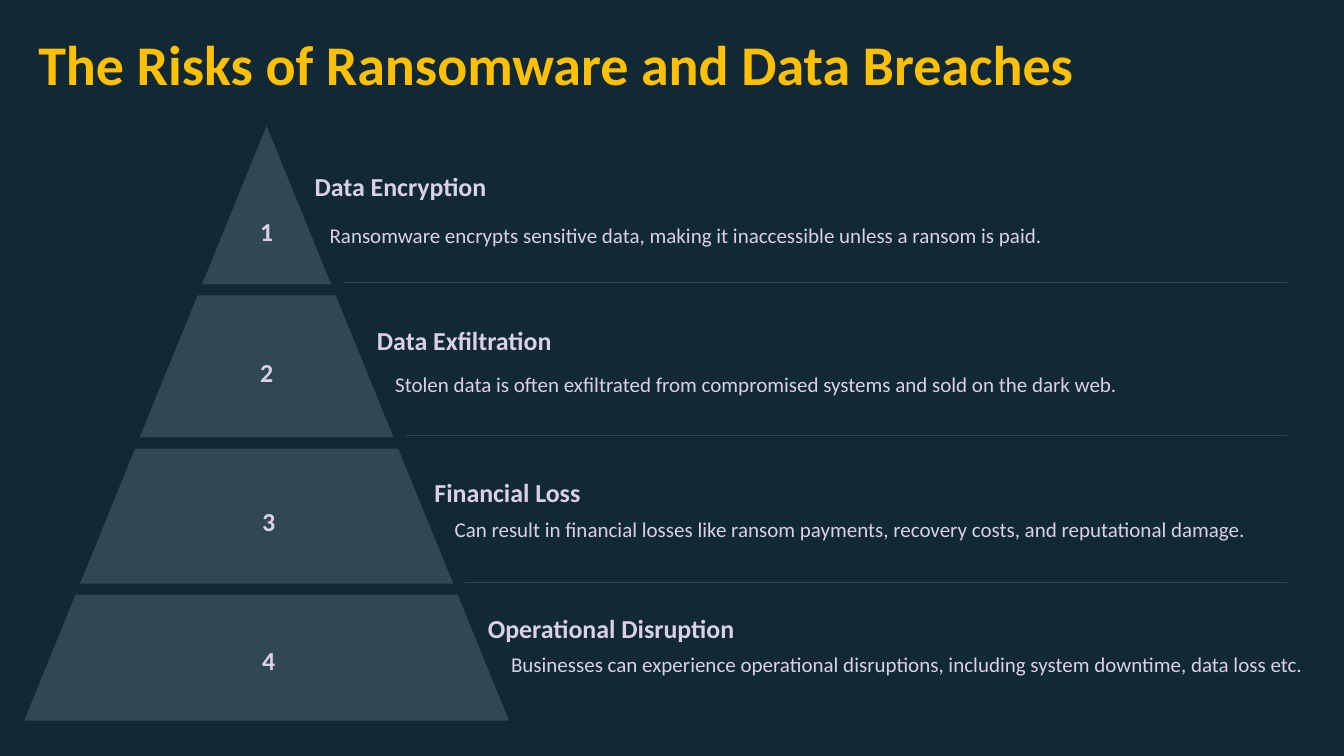
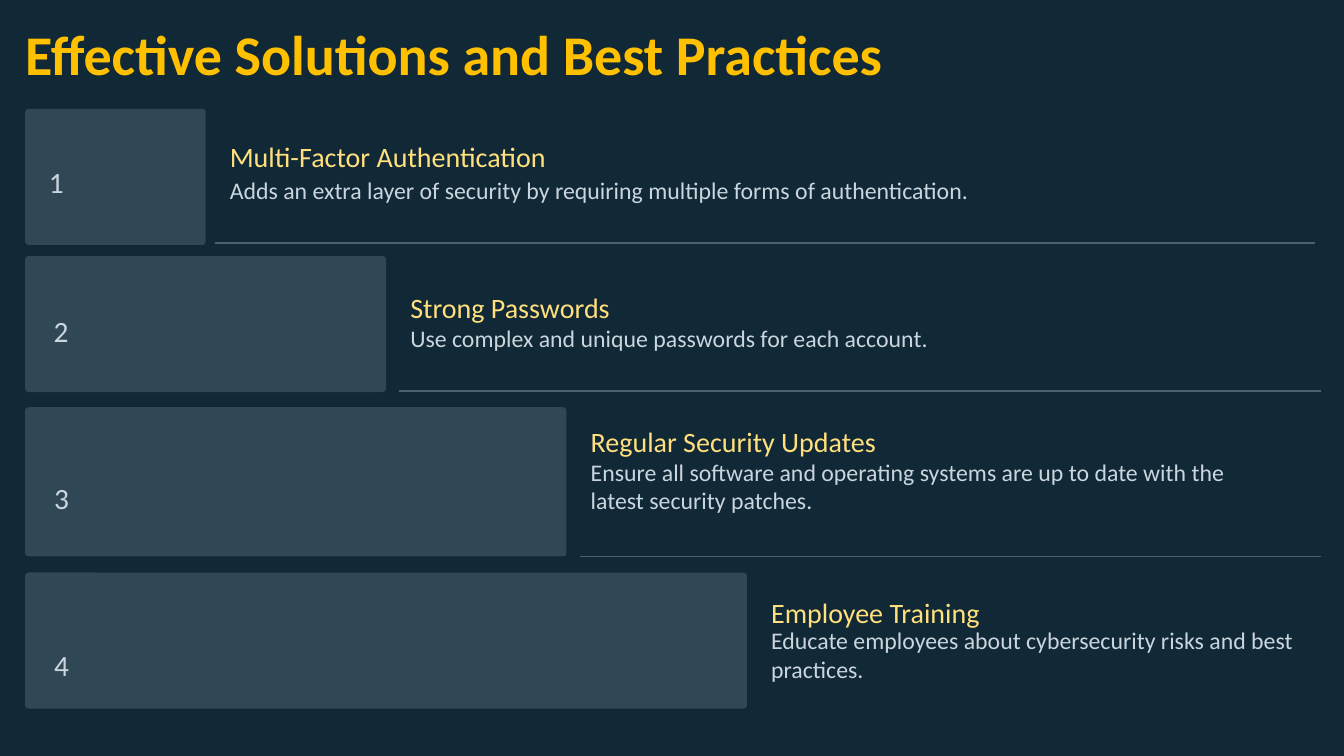
import dataclasses

import lxml.etree
import pptx
import pptx.dml.color
import pptx.enum.shapes
import pptx.enum.text
import pptx.oxml.ns
import pptx.util

# Grid: square cells of a tenth of an inch
CELL = 0.1
COLUMNS, ROWS = 133.33, 75

# Shared look
FONT = "Calibri"
NAVY = "112836"
SLATE = "304755"
STEEL = "49606E"
AMBER = "FFC000"
PALE_AMBER = "FFE07D"
LILAC = "DAD1E6"
MIST = "CAD6DE"
NUMBER_WIDTH = 4

SHAPES = pptx.enum.shapes.MSO_SHAPE
ALIGN = pptx.enum.text.PP_ALIGN


@dataclasses.dataclass
class Box:
    """An area in grid columns and rows."""
    left: float
    top: float
    width: float
    height: float

    @property
    def right(self):
        return self.left + self.width

    @property
    def bottom(self):
        return self.top + self.height

    def lengths(self):
        return [cells(v) for v in (self.left, self.top, self.width, self.height)]


@dataclasses.dataclass
class TextStyle:
    size: float
    color: str
    bold: bool = False
    spacing: float = 0
    align: ALIGN = ALIGN.LEFT


TITLE = TextStyle(40, AMBER, True, 47)
LEVEL_NUMBER = TextStyle(18.5, LILAC, True, 30, ALIGN.CENTER)
LEVEL_HEADING = TextStyle(18.5, LILAC, True, 23.5)
LEVEL_BODY = TextStyle(15, LILAC, False, 24)
STEP_NUMBER = TextStyle(21, MIST, False, 34, ALIGN.CENTER)
STEP_HEADING = TextStyle(20, PALE_AMBER, False, 25)
STEP_BODY = TextStyle(17, MIST)


def cells(count):
    return pptx.util.Inches(count * CELL)


def rgb(color):
    return pptx.dml.color.RGBColor.from_string(color)


def add_text(page, box, words, style):
    frame = page.shapes.add_textbox(*box.lengths()).text_frame
    frame.word_wrap = True
    frame.margin_left = frame.margin_right = 0
    frame.margin_top = frame.margin_bottom = 0
    para = frame.paragraphs[0]
    para.text = words
    para.alignment = style.align
    if style.spacing:
        para.line_spacing = pptx.util.Pt(style.spacing)
    para.font.name = FONT
    para.font.size = pptx.util.Pt(style.size)
    para.font.bold = style.bold
    para.font.color.rgb = rgb(style.color)


def add_number(page, center, top, number, style):
    box = Box(center - NUMBER_WIDTH / 2, top, NUMBER_WIDTH, 4.5)
    add_text(page, box, str(number), style)


def add_area(page, kind, box, color):
    shape = page.shapes.add_shape(kind, *box.lengths())
    shape.shadow.inherit = False
    shape.fill.solid()
    shape.fill.fore_color.rgb = rgb(color)
    shape.line.fill.background()
    return shape


def add_rule(page, left, right, row, color, weight):
    rule = page.shapes.add_connector(
        pptx.enum.shapes.MSO_CONNECTOR.STRAIGHT,
        cells(left), cells(row), cells(right), cells(row))
    rule.line.color.rgb = rgb(color)
    rule.line.width = pptx.util.Pt(weight)
    properties = rule._element.spPr
    lxml.etree.SubElement(properties, pptx.oxml.ns.qn("a:effectLst"))


def add_page(deck, title, left, top):
    page = deck.slides.add_slide(deck.slide_layouts[6])
    page.background.fill.solid()
    page.background.fill.fore_color.rgb = rgb(NAVY)
    add_text(page, Box(left, top, COLUMNS - 2 * left, 7), title, TITLE)
    return page


@dataclasses.dataclass
class Level:
    heading: str
    body: str
    heading_at: tuple   # column and row inside the pyramid's box
    body_at: tuple
    number_top: float
    number_shift: float
    bottom: float


LEVELS = [
    Level("Data Encryption",
          "Ransomware encrypts sensitive data, making it inaccessible unless a ransom is paid.",
          (28.8, 4.3), (30.3, 8.7), 7.8, 0, 15.7),
    Level("Data Exfiltration",
          "Stolen data is often exfiltrated from compromised systems and sold on the dark web.",
          (35, 19.5), (36.8, 23.5), 21.8, 0, 30.9),
    Level("Financial Loss",
          "Can result in financial losses like ransom payments, recovery costs, and reputational damage.",
          (40.7, 34.6), (42.7, 37.9), 36.6, 0.2, 45.4),
    Level("Operational Disruption",
          "Businesses can experience operational disruptions, including system downtime, data loss etc.",
          (46, 48.1), (48.3, 51.3), 50.4, 0.2, 59),
]


def draw_pyramid(page, box, levels, rule_right, text_right):
    center = box.left + box.width / 2
    add_area(page, SHAPES.ISOSCELES_TRIANGLE, box, SLATE)

    # Gaps between levels, and rules that start beside the sloping edge
    for level in levels[:-1]:
        gap_top = box.top + level.bottom
        add_area(page, SHAPES.RECTANGLE, Box(box.left, gap_top, box.width, 1.1), NAVY)
        edge = center + box.width / 2 * level.bottom / box.height
        add_rule(page, edge + 1.2, rule_right, gap_top - 0.15, SLATE, 0.75)

    # Numbers, headings and explanations
    for number, level in enumerate(levels, 1):
        add_number(page, center + level.number_shift, box.top + level.number_top,
                   number, LEVEL_NUMBER)
        for words, (column, row), style in (
                (level.heading, level.heading_at, LEVEL_HEADING),
                (level.body, level.body_at, LEVEL_BODY)):
            left = box.left + column
            add_text(page, Box(left, box.top + row, text_right - left, 3.4), words, style)


@dataclasses.dataclass
class Step:
    heading: str
    body: str
    top: float           # rows inside the staircase's box
    height: float
    number_at: tuple     # number centre and top inside the bar
    heading_top: float   # rows below the top of the bar
    body_top: float
    text_right: float
    rule: tuple = ()     # gap after the bar, right end, row below the bar's top


STEPS = [
    Step("Multi-Factor Authentication",
         "Adds an extra layer of security by requiring multiple forms of authentication.",
         0, 13.5, (3.1, 4.3), 2.9, 6.6, 124, (0.9, 128, 13.3)),
    Step("Strong Passwords",
         "Use complex and unique passwords for each account.",
         14.6, 13.5, (3.55, 4.4), 3.3, 6.7, 124, (1.3, 128.5, 13.4)),
    Step("Regular Security Updates",
         "Ensure all software and operating systems are up to date with the latest security patches.",
         29.6, 14.8, (3.6, 6), 1.6, 5, 124, (1.3, 128.6, 14.8)),
    Step("Employee Training",
         "Educate employees about cybersecurity risks and best practices.",
         46, 13.5, (3.6, 6.2), 2.1, 5.3, 128),
]


def draw_staircase(page, box, steps):
    tread = box.width / len(steps)
    for number, step in enumerate(steps, 1):
        # Bar and its number
        bar = Box(box.left, box.top + step.top, tread * number, step.height)
        shape = add_area(page, SHAPES.ROUNDED_RECTANGLE, bar, SLATE)
        shape.adjustments[0] = 0.35 / min(bar.width, bar.height)
        center, number_top = step.number_at
        add_number(page, bar.left + center, bar.top + number_top, number, STEP_NUMBER)

        # Text beside the bar
        left = bar.right + 2.4
        width = box.left + step.text_right - left
        add_text(page, Box(left, bar.top + step.heading_top, width, 3.5),
                 step.heading, STEP_HEADING)
        add_text(page, Box(left, bar.top + step.body_top, width, 7.6),
                 step.body, STEP_BODY)

        # Rule under the text
        if step.rule:
            gap, right, row = step.rule
            add_rule(page, bar.right + gap, box.left + right, bar.top + row, STEEL, 1.2)


def main():
    deck = pptx.Presentation()
    deck.slide_width = cells(COLUMNS)
    deck.slide_height = cells(ROWS)

    risks = add_page(deck, "The Risks of Ransomware and Data Breaches", 3.8, 3.1)
    draw_pyramid(risks, Box(2.4, 12.5, 48.1, 59), LEVELS, 127.7, 131.7)

    solutions = add_page(deck, "Effective Solutions and Best Practices", 2.5, 2.1)
    draw_staircase(solutions, Box(2.5, 10.8, 71.6, 59.5), STEPS)

    deck.save("out.pptx")


if __name__ == "__main__":
    main()
